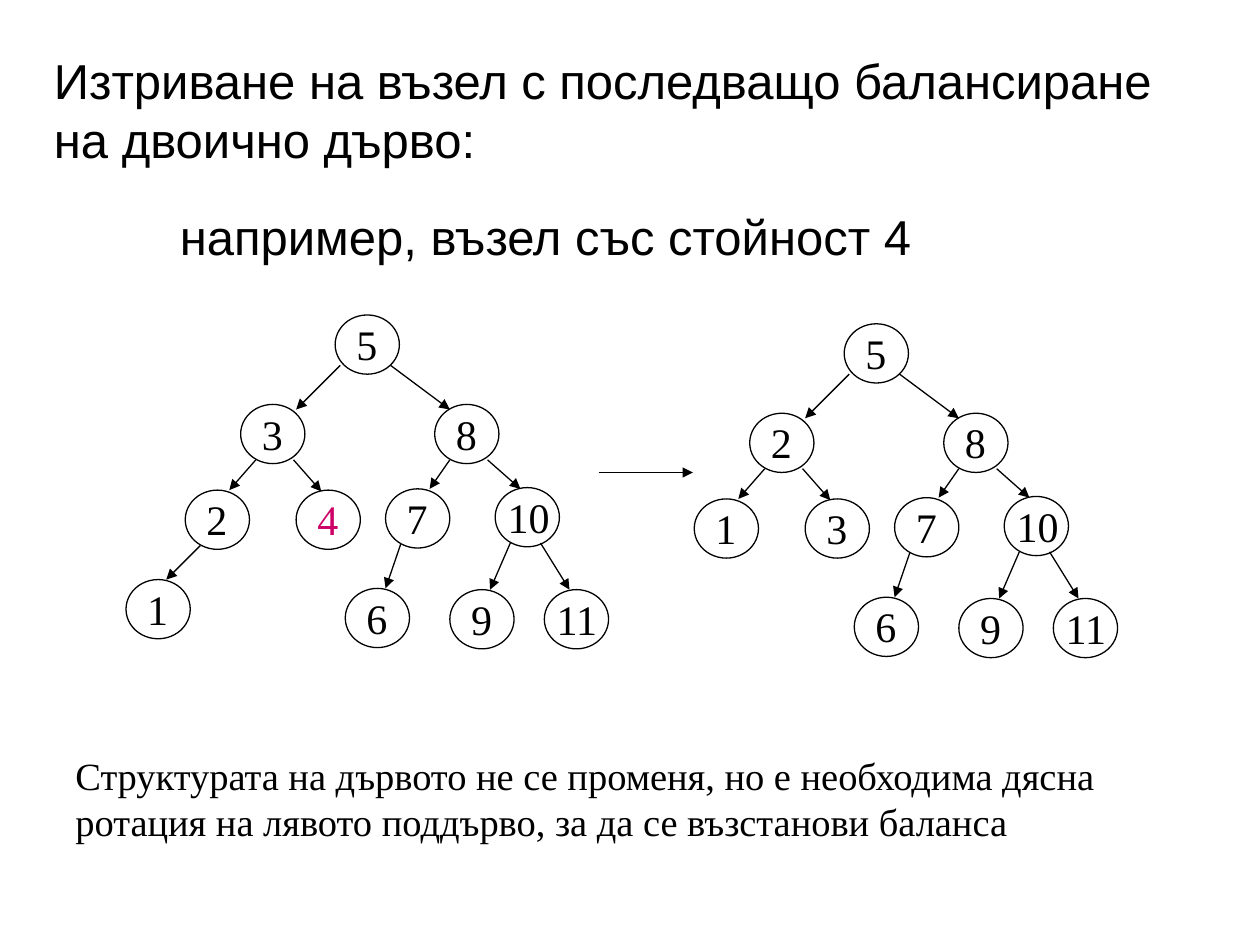
from lxml import etree
from pptx import Presentation
from pptx.dml.color import RGBColor
from pptx.enum.shapes import MSO_CONNECTOR, MSO_SHAPE
from pptx.oxml.ns import qn
from pptx.util import Inches, Pt

ELLIPSE = MSO_SHAPE.OVAL
STRAIGHT = MSO_CONNECTOR.STRAIGHT

THEME = {
    "ink": RGBColor(0x00, 0x00, 0x00),
    "paper": RGBColor(0xFF, 0xFF, 0xFF),
    "deleted": RGBColor(0xCC, 0x00, 0x66),
    "title": ("Arial", 28),
    "label": ("Times New Roman", 24),
    "note": ("Times New Roman", 22),
    "line": 0.75,
}

TITLE = ["Изтриване на възел с последващо балансиране на двоично дърво:",
         "например, възел със стойност 4"]
NOTE = ("Структурата на дървото не се променя, но е необходима дясна "
        "ротация на лявото поддърво, за да се възстанови баланса")

# A node is named by its path from the root: L is left, R is right.
SLOTS = {
    "": (2.66, 2.5),
    "L": (1.91, 3.21), "R": (3.45, 3.21),
    "LL": (1.47, 3.89), "LR": (2.35, 3.89), "RL": (3.06, 3.88), "RR": (3.93, 3.87),
    "LLL": (1.0, 4.6), "RLL": (2.74, 4.67), "RRL": (3.57, 4.68), "RRR": (4.32, 4.68),
}
RIGHT_HALF = {"R": 8, "RL": 7, "RR": 10, "RLL": 6, "RRL": 9, "RRR": 11}
BEFORE = {"": 5, "L": 3, "LL": 2, "LR": 4, "LLL": 1, **RIGHT_HALF}
AFTER = {"": 5, "L": 2, "LL": 1, "LR": 3, **RIGHT_HALF}
TREES = [(BEFORE, (0, 0), "LR"), (AFTER, (4.04, 0.07), None)]

NODE_W, NODE_H = 0.51, 0.47
# (level, side): arrow start within the parent, arrow end within the child
ARROW_ENDS = {
    (1, "L"): ((0.04, 0.4), (0.44, 0.04)),
    (1, "R"): ((0.44, 0.4), (0.12, 0.04)),
    (2, "L"): ((0.12, 0.44), (0.35, 0)),
    (2, "R"): ((0.42, 0.44), (0.2, 0.01)),
    (3, "L"): ((0.12, 0.44), (0.32, 0)),
    (3, "R"): ((0.36, 0.44), (0.2, 0)),
}


def shift(point, offset):
    return point[0] + offset[0], point[1] + offset[1]


def add_text(s, box, paragraphs, style, color=THEME["ink"], wrap=True):
    tf = s.shapes.add_textbox(*map(Inches, box)).text_frame
    tf.word_wrap = wrap
    for i, text in enumerate(paragraphs):
        p = tf.add_paragraph() if i else tf.paragraphs[0]
        p.text = text
        p.font.name, size = THEME[style]
        p.font.size = Pt(size)
        p.font.color.rgb = color
    return tf


def add_arrow(s, start, end):
    c = s.shapes.add_connector(STRAIGHT, *map(Inches, (*start, *end)))
    c.line.color.rgb = THEME["ink"]
    c.line.width = Pt(THEME["line"])
    etree.SubElement(c.line._get_or_add_ln(), qn("a:tailEnd"), type="triangle")
    etree.SubElement(c._element.spPr, qn("a:effectLst"))


def add_node(s, at):
    sp = s.shapes.add_shape(ELLIPSE, *map(Inches, (*at, NODE_W, NODE_H)))
    sp.shadow.inherit = False
    sp.fill.solid()
    sp.fill.fore_color.rgb = THEME["paper"]
    sp.line.color.rgb = THEME["ink"]
    sp.line.width = Pt(THEME["line"])


def add_tree(s, values, offset, deleted):
    places = {path: shift(SLOTS[path], offset) for path in values}
    for at in places.values():
        add_node(s, at)
    for path, at in places.items():
        if path:
            start, end = ARROW_ENDS[len(path), path[-1]]
            add_arrow(s, shift(places[path[:-1]], start), shift(at, end))
    for path, at in places.items():
        dx, width = (0.07, 0.5) if values[path] < 10 else (0, 0.65)
        color = THEME["deleted" if path == deleted else "ink"]
        add_text(s, (*shift(at, (dx, -0.02)), width, 0.5), [str(values[path])],
                 "label", color, wrap=False)


def main():
    prs = Presentation()
    prs.slide_width, prs.slide_height = Inches(10), Inches(7.5)
    s = prs.slides.add_slide(prs.slide_layouts[6])

    heading, example = add_text(s, (0.33, 0.35, 9.17, 1.9), TITLE, "title").paragraphs
    heading.line_spacing = example.line_spacing = Pt(33.7)
    example.space_before = Pt(21.7)
    example._p.get_or_add_pPr().set("marL", str(Inches(1)))

    for tree in TREES:
        add_tree(s, *tree)
    add_arrow(s, (4.75, 3.75), (5.5, 3.75))
    add_text(s, (0.5, 5.92, 9.08, 0.84), [NOTE], "note")
    prs.save("out.pptx")


if __name__ == "__main__":
    main()
